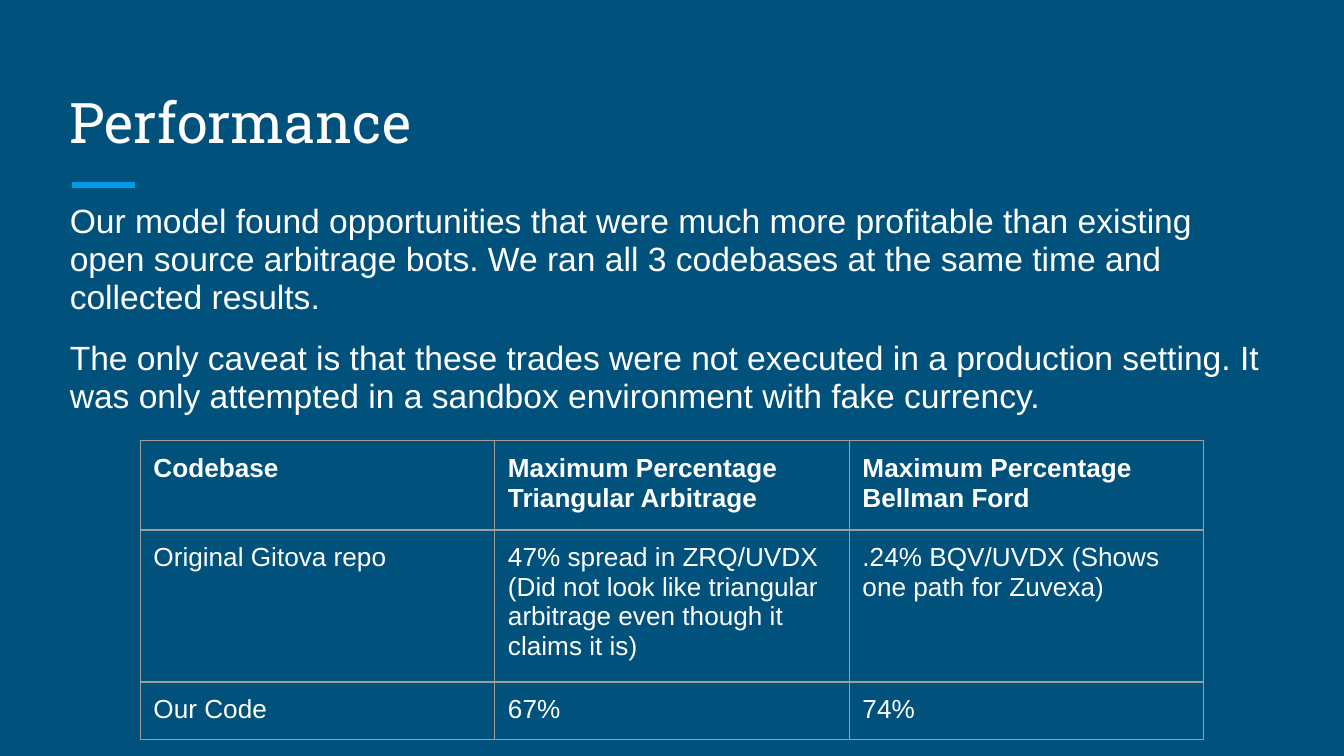
from lxml.etree import SubElement
from pptx import Presentation
from pptx.dml.color import RGBColor
from pptx.enum.text import MSO_ANCHOR
from pptx.oxml.ns import qn
from pptx.util import Cm, Pt

BACKGROUND, ACCENT, WHITE, GRID = "00517C", "039BE5", "FFFFFF", "9E9E9E"
INSET = Cm(0.25)

TITLE = "Performance"
FINDINGS = [
    "Our model found opportunities that were much more profitable than existing "
    "open source arbitrage bots. We ran all 3 codebases at the same time and "
    "collected results.",
    "The only caveat is that these trades were not executed in a production "
    "setting. It was only attempted in a sandbox environment with fake currency.",
]
RESULTS = [
    ["Codebase", "Maximum Percentage Triangular Arbitrage",
     "Maximum Percentage Bellman Ford"],
    ["Original Gitova repo",
     "47% spread in ZRQ/UVDX (Did not look like triangular arbitrage even "
     "though it claims it is)",
     ".24% BQV/UVDX (Shows one path for Zuvexa)"],
    ["Our Code", "67%", "74%"],
]
COLUMN_WIDTH = 6.7
ROW_HEIGHTS = [1.6, 2.7, 1.05]


def color(value):
    return RGBColor.from_string(value)


def write(frame, paragraphs, size=14, font="Arial", bold=False, line=1.0, gap=0):
    frame.word_wrap = True
    for index, text in enumerate(paragraphs):
        paragraph = frame.paragraphs[0] if index == 0 else frame.add_paragraph()
        paragraph.line_spacing = line
        paragraph.space_before = Pt(gap if index else 0)
        paragraph.space_after = Pt(gap if index else 0)
        run = paragraph.add_run()
        run.text = text
        run.font.name = font
        run.font.size = Pt(size)
        run.font.bold = bold
        run.font.color.rgb = color(WHITE)


def add_text(slide, top, height, paragraphs, anchor=MSO_ANCHOR.TOP, **style):
    box = slide.shapes.add_textbox(Cm(1.07), Cm(top), Cm(23.24), Cm(height))
    frame = box.text_frame
    frame.margin_left = frame.margin_right = INSET
    frame.margin_top = frame.margin_bottom = INSET
    frame.vertical_anchor = anchor
    write(frame, paragraphs, **style)


def add_borders(cell):
    properties = cell._tc.get_or_add_tcPr()
    for position, side in enumerate(("lnL", "lnR", "lnT", "lnB")):
        border = properties.makeelement(qn(f"a:{side}"), {"w": str(Pt(0.75))})
        fill = SubElement(border, qn("a:solidFill"))
        SubElement(fill, qn("a:srgbClr"), val=GRID)
        properties.insert(position, border)


def add_results(slide):
    columns = len(RESULTS[0])
    table = slide.shapes.add_table(
        len(RESULTS), columns, Cm(2.65), Cm(8.33),
        Cm(COLUMN_WIDTH * columns), Cm(sum(ROW_HEIGHTS))).table
    table.first_row = table.horz_banding = False
    for column in table.columns:
        column.width = Cm(COLUMN_WIDTH)
    for row, (height, texts) in enumerate(zip(ROW_HEIGHTS, RESULTS)):
        table.rows[row].height = Cm(height)
        for column, text in enumerate(texts):
            cell = table.cell(row, column)
            cell.margin_left = cell.margin_right = INSET
            cell.margin_top = cell.margin_bottom = INSET
            cell.fill.background()
            add_borders(cell)
            write(cell.text_frame, [text], bold=row == 0)


def main():
    deck = Presentation()
    deck.slide_width, deck.slide_height = Cm(25.4), Cm(14.29)
    slide = deck.slides.add_slide(deck.slide_layouts[6])
    slide.background.fill.solid()
    slide.background.fill.fore_color.rgb = color(BACKGROUND)

    accent = slide.shapes.add_connector(1, Cm(1.37), Cm(3.5), Cm(2.55), Cm(3.5))
    accent.line.color.rgb = color(ACCENT)
    accent.line.width = Pt(3)
    SubElement(accent._element.spPr, qn("a:effectLst"))

    add_text(slide, 1.27, 1.9, [TITLE], anchor=MSO_ANCHOR.BOTTOM,
             size=30, font="Roboto Slab")
    add_text(slide, 3.58, 4.65, FINDINGS, size=18, line=0.95, gap=12)
    add_results(slide)
    deck.save("out.pptx")


if __name__ == "__main__":
    main()
